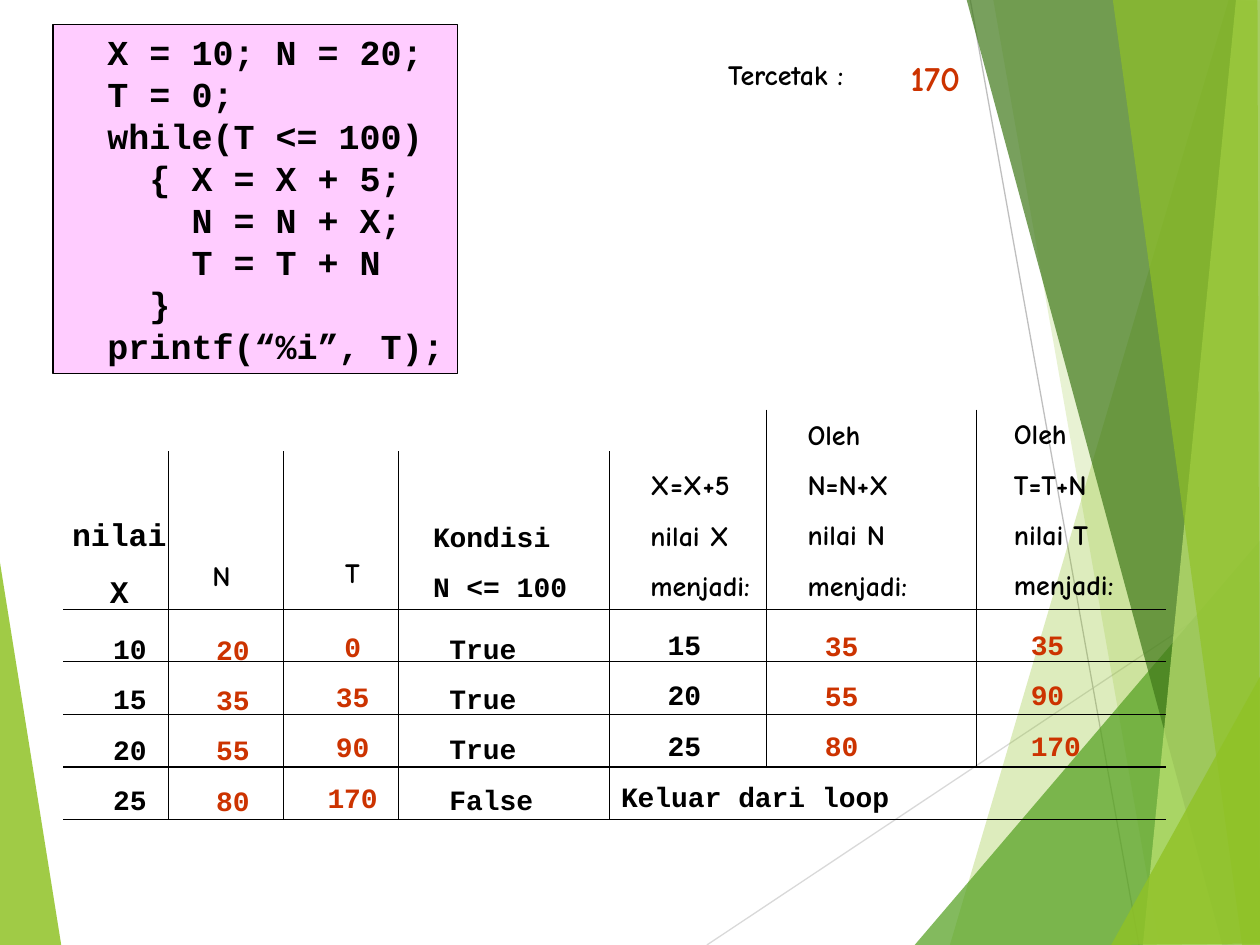
"""Build a slide that traces a while loop step by step."""
import lxml.etree
import pptx
import pptx.dml.color
import pptx.enum.shapes
import pptx.enum.text
import pptx.oxml.ns
import pptx.util

Cm = pptx.util.Cm
qn = pptx.oxml.ns.qn
LEFT = pptx.enum.text.PP_ALIGN.LEFT
CENTER = pptx.enum.text.PP_ALIGN.CENTER
MONO, HAND = "Courier New", "Comic Neue"
COLOURS = {
    "black": "000000", "red": "CC3300", "pink": "FFCCFF",
    "lime": "90C226", "green": "54A021", "forest": "3F7819", "pale": "C0E474",
    "grey": "BFBFBF", "light grey": "D9D9D9",
}


def draw_line(x1, y1, x2, y2, colour):
    line = page.shapes.add_connector(
        pptx.enum.shapes.MSO_CONNECTOR.STRAIGHT, Cm(x1), Cm(y1), Cm(x2), Cm(y2))
    line.line.color.rgb = pptx.dml.color.RGBColor.from_string(COLOURS[colour])
    line.line.width = pptx.util.Pt(0.75)
    lxml.etree.SubElement(line._element.spPr, qn("a:effectLst"))


def write(box, text, font, size, colour, spacing, align):
    frame = box.text_frame
    frame.text = text
    frame.word_wrap = False
    frame.auto_size = pptx.enum.text.MSO_AUTO_SIZE.SHAPE_TO_FIT_TEXT
    frame.vertical_anchor = pptx.enum.text.MSO_ANCHOR.TOP
    for para in frame.paragraphs:
        para.alignment = align
        para.line_spacing = spacing
        for span in para.runs:
            span.font.name = font
            span.font.size = pptx.util.Pt(size)
            span.font.bold = True
            span.font.color.rgb = pptx.dml.color.RGBColor.from_string(COLOURS[colour])


deck = pptx.Presentation()
deck.slide_width, deck.slide_height = Cm(25.4), Cm(19.05)
page = deck.slides.add_slide(deck.slide_layouts[6])

draw_line(14.25, 19.05, 25.43, 11.61, "light grey")
draw_line(19.56, 0, 22.96, 19.05, "grey")

facets = [
    ("lime", 85, [(-0.03, 11.15), (1.24, 19.08), (-0.03, 19.05)]),
    ("lime", 30, [(24.77, 0), (19.15, 19.05), (25.45, 19.08), (25.43, 0.03)]),
    ("lime", 20, [(20.02, -0.03), (23.37, 19.05), (25.43, 19.05), (25.43, -0.03)]),
    ("green", 72, [(18.44, 19.05), (25.4, 10.9), (25.43, 19.05)]),
    ("forest", 70, [(19.48, -0.03), (24.64, 19.05), (25.43, 19.02), (25.43, -0.03)]),
    ("pale", 70, [(24.92, -0.03), (23.04, 19.05), (25.43, 19.05), (25.4, -0.03)]),
    ("lime", 65, [(22.43, -0.03), (25.04, 19.05), (25.4, 19.05), (25.35, -0.03)]),
    ("lime", 80, [(22.4, 19.05), (25.43, 13.59), (25.43, 19.02)]),
]
for colour, opacity, corners in facets:
    points = [(Cm(x), Cm(y)) for x, y in corners]
    builder = page.shapes.build_freeform(*points[0], scale=1.0)
    builder.add_line_segments(points[1:], close=True)
    facet = builder.convert_to_shape()
    facet.shadow.inherit = False
    facet.line.fill.background()
    facet.fill.solid()
    facet.fill.fore_color.rgb = pptx.dml.color.RGBColor.from_string(COLOURS[colour])
    tone = facet._element.spPr.find(qn("a:solidFill"))[0]
    lxml.etree.SubElement(tone, qn("a:alpha")).set("val", str(opacity * 1000))

table_top, row_height = 12.28, 1.06
for row in range(5):
    y = table_top + row * row_height
    draw_line(1.27, y, 23.5, y, "black")
for x in (3.39, 5.72, 8.04, 12.28):
    draw_line(x, 9.1, x, table_top + 4 * row_height, "black")
for x in (15.45, 19.69):
    draw_line(x, 8.26, x, table_top + 3 * row_height, "black")

texts = [
    (1.18, 9.88, 2.45, 2.54, "nilai\nX", MONO, 18, "black", 1.5, CENTER),
    (4.03, 11.13, 0.9, 0.94, "N", HAND, 16, "black", 1, LEFT),
    (6.69, 11.07, 0.83, 0.94, "T", HAND, 16, "black", 1, CENTER),
    (8.48, 10.01, 3.25, 2.29, "Kondisi\nN <= 100", MONO, 16, "black", 1.5, LEFT),
    (12.86, 8.97, 2.55, 3.3, "X=X+5\nnilai X\nmenjadi:", HAND, 16, "black", 1.5, LEFT),
    (16.03, 7.95, 2.55, 4.32, "Oleh\nN=N+X\nnilai N\nmenjadi:", HAND, 16, "black", 1.5, LEFT),
    (20.19, 7.94, 2.55, 4.32, "Oleh\nT=T+N\nnilai T\nmenjadi:", HAND, 16, "black", 1.5, LEFT),
    (2.03, 12.27, 1.22, 4.32, "10\n15\n20\n25", MONO, 16, "black", 1.5, LEFT),
    (4.11, 12.28, 1.22, 4.32, "20\n35\n55\n80", MONO, 16, "red", 1.5, LEFT),
    (6.33, 12.22, 1.56, 4.32, "0\n35\n90\n170", MONO, 16, "red", 1.5, CENTER),
    (8.81, 12.26, 2.24, 4.32, "True\nTrue\nTrue\nFalse", MONO, 16, "black", 1.5, LEFT),
    (13.21, 12.19, 1.22, 3.3, "15\n20\n25", MONO, 16, "black", 1.5, LEFT),
    (16.38, 12.2, 1.22, 3.3, "35\n55\n80", MONO, 16, "red", 1.5, LEFT),
    (20.53, 12.19, 1.56, 3.3, "35\n90\n170", MONO, 16, "red", 1.5, LEFT),
    (12.27, 15.25, 5.97, 1.27, "Keluar dari loop", MONO, 16, "black", 1.5, LEFT),
    (14.43, 1.03, 2.95, 0.94, "Tercetak :", HAND, 16, "black", 1, LEFT),
    (18.11, 1.02, 1.55, 1.12, "170", HAND, 20, "red", 1, LEFT),
]
for left, top, width, height, *style in texts:
    box = page.shapes.add_textbox(Cm(left), Cm(top), Cm(width), Cm(height))
    write(box, *style)

code = """  X = 10; N = 20;
  T = 0;
  while(T <= 100)
    { X = X + 5;
      N = N + X;
      T = T + N
    }
  printf(“%i”, T);"""
code_box = page.shapes.add_shape(
    pptx.enum.shapes.MSO_SHAPE.RECTANGLE, Cm(1.07), Cm(0.49), Cm(8.15), Cm(7.04))
code_box.shadow.inherit = False
code_box.fill.solid()
code_box.fill.fore_color.rgb = pptx.dml.color.RGBColor.from_string(COLOURS["pink"])
code_box.line.color.rgb = pptx.dml.color.RGBColor.from_string(COLOURS["black"])
code_box.line.width = pptx.util.Pt(0.75)
write(code_box, code, MONO, 20, "black", 1, LEFT)

deck.save("out.pptx")
